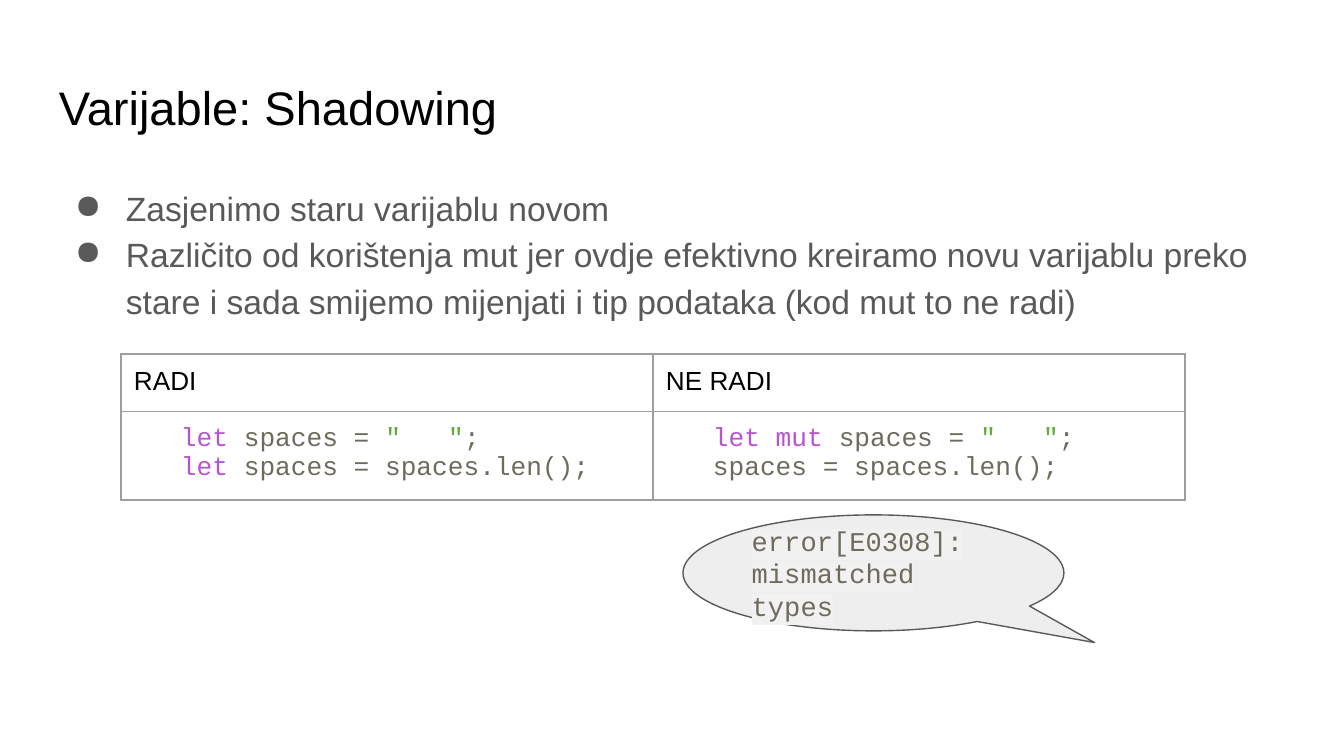
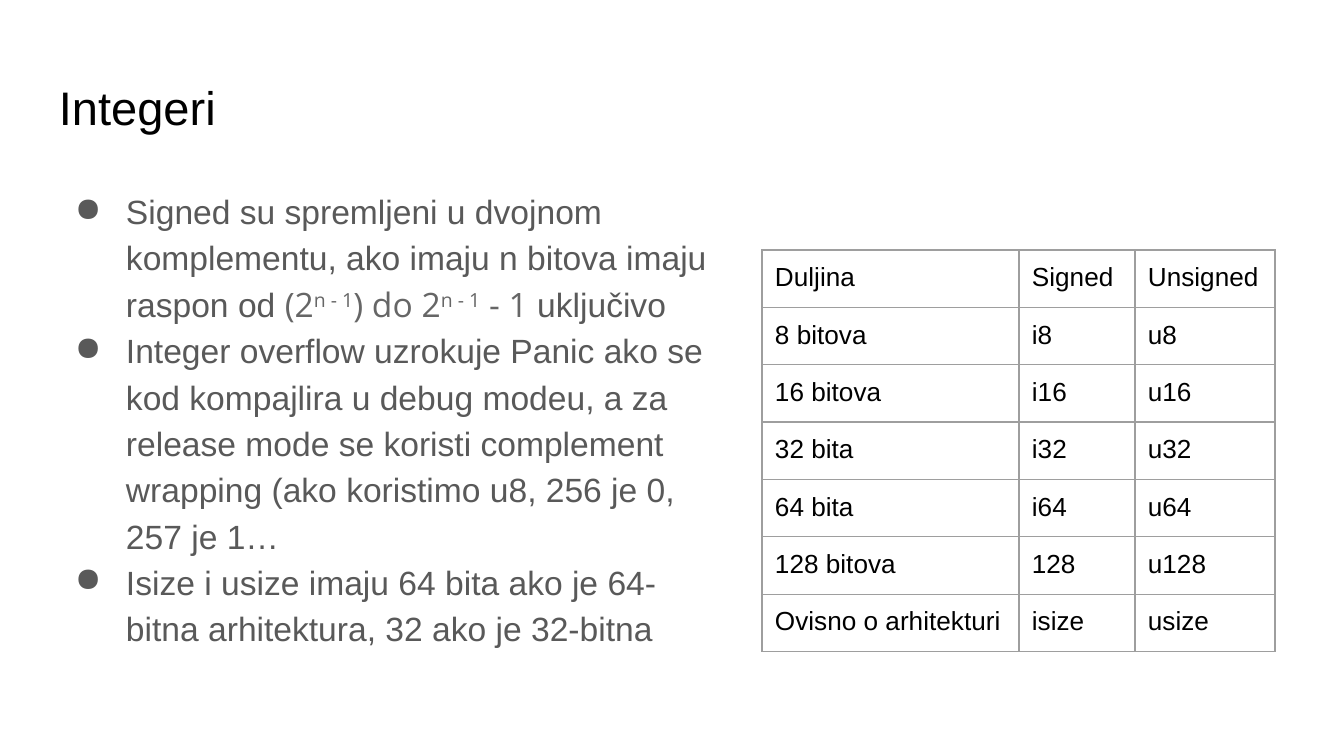
from lxml.etree import SubElement
from pptx import Presentation
from pptx.dml.color import RGBColor
from pptx.enum.shapes import MSO_SHAPE
from pptx.enum.text import MSO_ANCHOR, PP_ALIGN
from pptx.oxml.ns import qn
from pptx.util import Emu, Pt

COLORS = {
    "black": "000000", "body": "595959", "formula": "666666", "grid": "9E9E9E",
    "code": "6E6B5E", "keyword": "B854D4", "string": "60AC39",
    "bubble": "EEEEEE", "highlight": "F1F1F1",
}


def style(name, size, color, **extra):
    return {"name": name, "size": size, "color": color, **extra}


STYLES = {
    "title": style("Arial", 25.2, "black"),
    "body": style("Arial", 18, "body"),
    "formula": style("Open Sans", 18, "formula"),
    "power": style("Open Sans", 18, "formula", baseline=30000),
    "cell": style("Arial", 14, "black"),
    "code": style("Courier New", 14, "code"),
    "keyword": style("Courier New", 14, "keyword"),
    "string": style("Courier New", 14, "string"),
    "error": style("Courier New", 14.5, "code", highlight="highlight"),
}

INSET = 13
BULLET_INDENT, BULLET_HANG = 67, 51
CODE_INDENT = 47
ROW_HEIGHT, CODE_ROW_HEIGHT = 56, 86
TITLE_BOX = (46, 66, 1253, 85)


def px(length):
    return Emu(round(length * 914400 / 134.4))


def rgb(color):
    return RGBColor.from_string(COLORS[color])


def set_margins(target):
    for side in ("left", "top", "right", "bottom"):
        setattr(target, f"margin_{side}", px(INSET))


def add_span(para, text, style_name):
    look = STYLES[style_name]
    span = para.add_run()
    span.text = text
    for key, value in {"name": look["name"], "size": Pt(look["size"])}.items():
        setattr(span.font, key, value)
    span.font.color.rgb = rgb(look["color"])
    props = span.font.fill._xPr
    if "baseline" in look:
        props.set("baseline", str(look["baseline"]))
    if "highlight" in look:
        mark = SubElement(props, qn("a:highlight"))
        SubElement(mark, qn("a:srgbClr"), val=COLORS[look["highlight"]])
        props.find(qn("a:solidFill")).addnext(mark)


def write(frame, paras, indent=0, hang=0, spacing=None, bullet=None):
    """Fill a text frame; each paragraph is a list of (text, style) spans."""
    frame.word_wrap = True
    for index, spans in enumerate(paras):
        para = frame.paragraphs[0] if index == 0 else frame.add_paragraph()
        for key, value in {"alignment": PP_ALIGN.LEFT, "line_spacing": spacing}.items():
            setattr(para, key, value)
        props = para._p.get_or_add_pPr()
        props.set("marL", str(px(indent)))
        props.set("indent", str(-px(hang)))
        if bullet:
            color = SubElement(props, qn("a:buClr"))
            SubElement(color, qn("a:srgbClr"), val=COLORS["body"])
            SubElement(props, qn("a:buChar"), char=bullet)
        for text, style_name in spans:
            add_span(para, text, style_name)


def add_text(page, box, paras, **layout):
    frame = page.shapes.add_textbox(*map(px, box)).text_frame
    set_margins(frame)
    frame.vertical_anchor = MSO_ANCHOR.TOP
    write(frame, paras, **layout)


def add_bullets(page, box, paras):
    add_text(page, box, paras, indent=BULLET_INDENT, hang=BULLET_HANG,
             spacing=1.15, bullet="●")


def outline_cell(cell):
    props = cell._tc.get_or_add_tcPr()
    for index, edge in enumerate(("lnL", "lnR", "lnT", "lnB")):
        line = SubElement(props, qn(f"a:{edge}"), w=str(Pt(0.75)))
        fill = SubElement(line, qn("a:solidFill"))
        SubElement(fill, qn("a:srgbClr"), val=COLORS["grid"])
        props.insert(index, line)


def add_grid(page, left, top, widths, heights, rows):
    """Add a table; a cell is plain text or a list of code paragraphs."""
    box = (left, top, sum(widths), sum(heights))
    table = page.shapes.add_table(len(rows), len(widths), *map(px, box)).table
    table.first_row = table.horz_banding = False
    for column, width in zip(table.columns, widths):
        column.width = px(width)
    for row, height in zip(table.rows, heights):
        row.height = px(height)
    for row, contents in zip(table.rows, rows):
        for cell, content in zip(row.cells, contents):
            set_margins(cell)
            cell.fill.background()
            outline_cell(cell)
            if isinstance(content, str):
                write(cell.text_frame, [[(content, "cell")]])
            else:
                write(cell.text_frame, content, indent=CODE_INDENT)


def add_error_bubble(page, box, message):
    bubble = page.shapes.add_shape(MSO_SHAPE.OVAL_CALLOUT, *map(px, box))
    bubble.shadow.inherit = False
    bubble.adjustments[0], bubble.adjustments[1] = 0.58, 0.6
    bubble.fill.solid()
    bubble.fill.fore_color.rgb = rgb("bubble")
    bubble.line.color.rgb = rgb("body")
    bubble.line.width = Pt(0.75)
    set_margins(bubble.text_frame)
    bubble.text_frame.vertical_anchor = MSO_ANCHOR.MIDDLE
    write(bubble.text_frame, [[(message, "error")]])


def add_page(deck, title):
    page = deck.slides.add_slide(deck.slide_layouts[6])
    add_text(page, TITLE_BOX, [[(title, "title")]])
    return page


def add_shadowing_page(deck):
    page = add_page(deck, "Varijable: Shadowing")
    add_bullets(page, (46, 169, 1253, 503), [
        [("Zasjenimo staru varijablu novom", "body")],
        [("Različito od korištenja mut jer ovdje efektivno kreiramo novu varijablu "
          "preko stare i sada smijemo mijenjati i tip podataka (kod mut to ne radi)",
          "body")],
    ])
    assignment = [(" spaces = ", "code"), ('"   "', "string"), (";", "code")]
    works = [[("let", "keyword"), *assignment],
             [("let", "keyword"), (" spaces = spaces.len();", "code")]]
    fails = [[("let mut", "keyword"), *assignment],
             [("spaces = spaces.len();", "code")]]
    add_grid(page, 121, 354, [532, 532], [ROW_HEIGHT, CODE_ROW_HEIGHT],
             [("RADI", "NE RADI"), (works, fails)])
    add_error_bubble(page, (683, 515, 381, 116), "error[E0308]: mismatched types")


def add_integers_page(deck):
    page = add_page(deck, "Integeri")
    add_bullets(page, (46, 172, 684, 503), [
        [("Signed su spremljeni u dvojnom komplementu, ako imaju n bitova imaju "
          "raspon od ", "body"),
         ("(2", "formula"), ("n - 1", "power"), (") do 2", "formula"),
         ("n - 1", "power"), (" - 1", "formula"), (" uključivo", "body")],
        [("Integer overflow uzrokuje Panic ako se kod kompajlira u debug modeu, a za "
          "release mode se koristi complement wrapping (ako koristimo u8, 256 je 0, "
          "257 je 1…", "body")],
        [("Isize i usize imaju 64 bita ako je 64-bitna arhitektura, 32 ako je "
          "32-bitna", "body")],
    ])
    rows = [
        ("Duljina", "Signed", "Unsigned"),
        ("8 bitova", "i8", "u8"),
        ("16 bitova", "i16", "u16"),
        ("32 bita", "i32", "u32"),
        ("64 bita", "i64", "u64"),
        ("128 bitova", "128", "u128"),
        ("Ovisno o arhitekturi", "isize", "usize"),
    ]
    add_grid(page, 762, 250, [257, 116, 140], [ROW_HEIGHT] * len(rows), rows)


def main():
    deck = Presentation()
    deck.slide_width, deck.slide_height = px(1344), px(756)
    add_shadowing_page(deck)
    add_integers_page(deck)
    deck.save("out.pptx")


if __name__ == "__main__":
    main()
